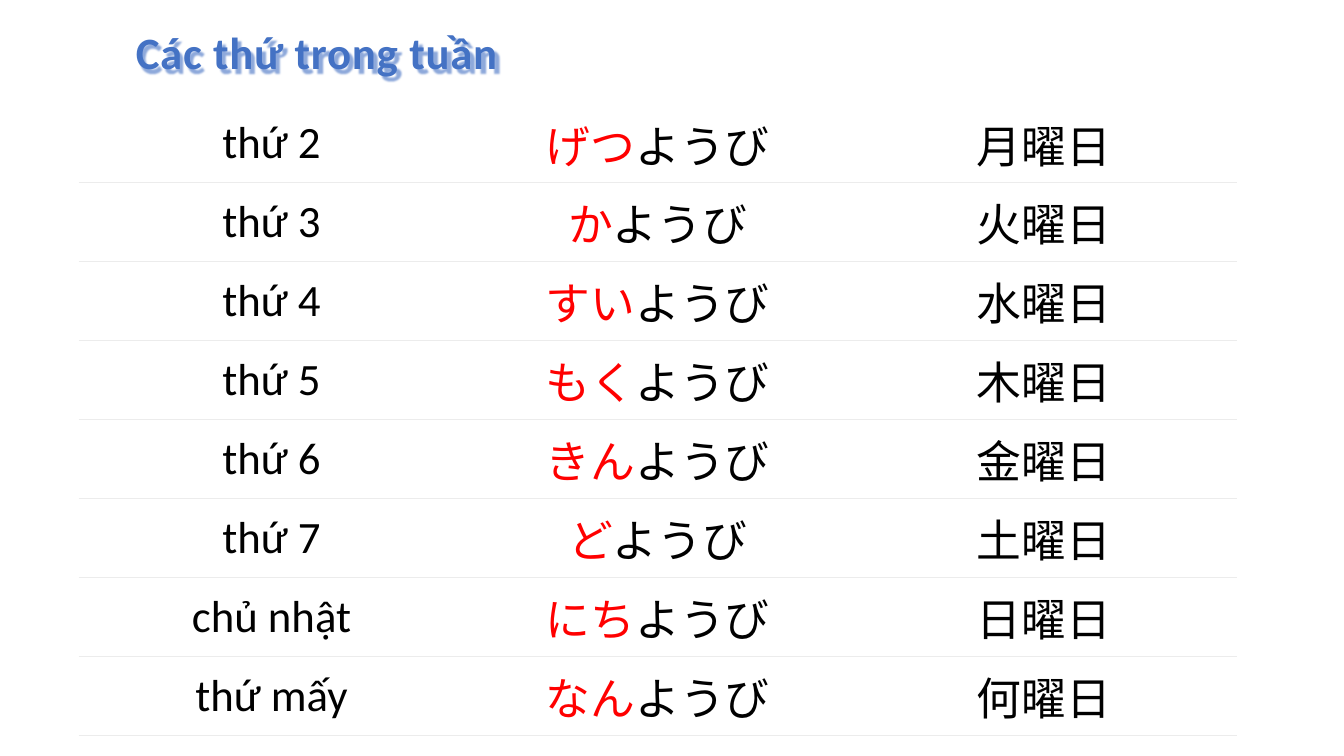
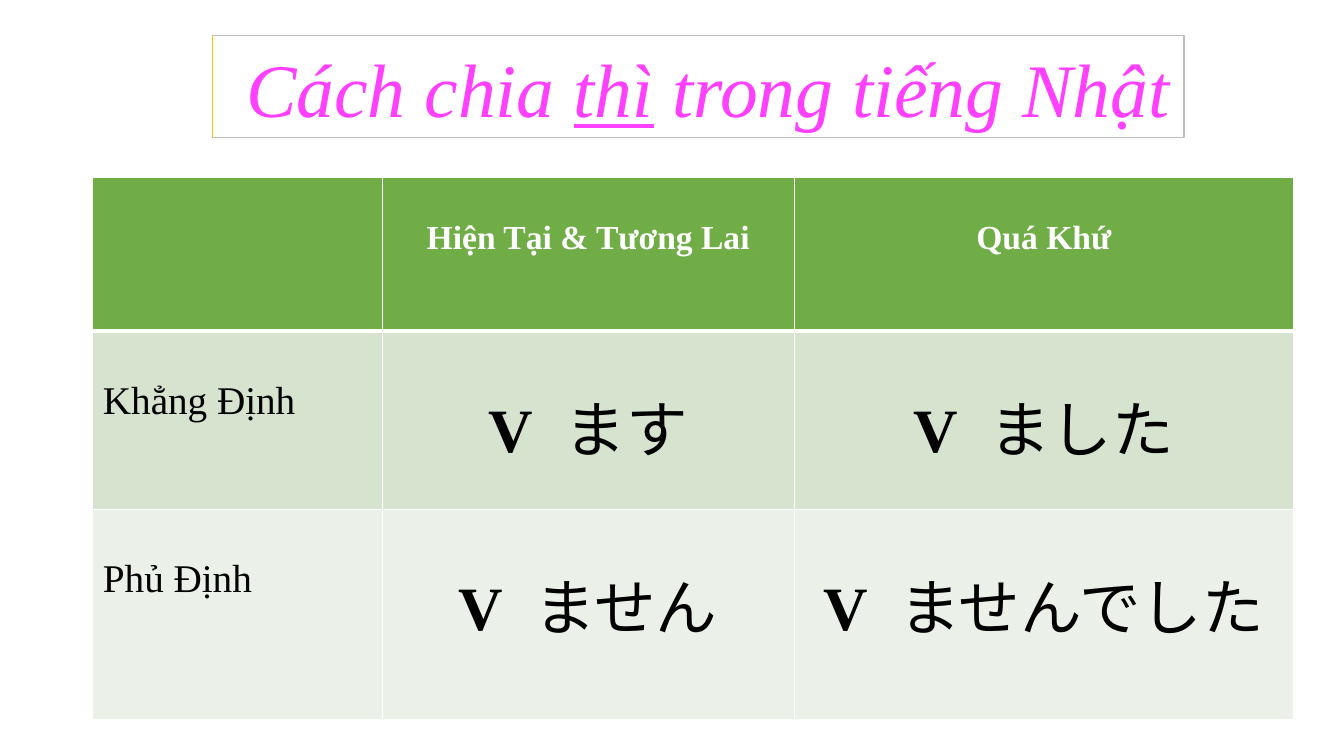
from lxml import etree
from pptx import Presentation
from pptx.dml.color import RGBColor
from pptx.enum.shapes import MSO_CONNECTOR, MSO_SHAPE
from pptx.enum.text import MSO_ANCHOR, PP_ALIGN
from pptx.oxml.ns import qn
from pptx.util import Cm, Pt

BLUE, RED, BLACK, WHITE = "4472C4", "FF0000", "000000", "FFFFFF"
PINK, GOLD, GREY, RULE = "FF40FF", "FFC000", "BFBFBF", "ECECEC"
GREEN, GREEN_MID, GREEN_PALE = "70AD47", "D5E3CF", "EBF1E9"
SHADOW = "8FAADC"
SANS, SERIF, KANA = "Calibri", "Times New Roman", "Noto Sans CJK JP"

WEEKDAYS = [
    ("thứ 2", "げつ", "月"),
    ("thứ 3", "か", "火"),
    ("thứ 4", "すい", "水"),
    ("thứ 5", "もく", "木"),
    ("thứ 6", "きん", "金"),
    ("thứ 7", "ど", "土"),
    ("chủ nhật", "にち", "日"),
    ("thứ mấy", "なん", "何"),
]
TENSES = [
    ("Khẳng Định", "ます", "ました", GREEN_MID),
    ("Phủ Định", "ません", "ませんでした", GREEN_PALE),
]


def rgb(color):
    return RGBColor.from_string(color)


class Deck:
    """Holds the presentation, its text style and the current slide."""

    def __init__(self):
        self.prs = Presentation()
        self.prs.slide_width, self.prs.slide_height = Cm(33.87), Cm(19.05)
        self.s = None

    def slide(self):
        self.s = self.prs.slides.add_slide(self.prs.slide_layouts[6])

    def text(self, tf, runs, font, size, color, align=PP_ALIGN.CENTER,
             bold=False, italic=False, spacing=None):
        p = tf.paragraphs[0]
        p.alignment = align
        if spacing:
            p.line_spacing = spacing
        p.font.size, p.font.bold, p.font.italic = Pt(size), bold, italic
        p.font.color.rgb = rgb(color)
        p.font.name = font
        props = p._p.pPr.find(qn("a:defRPr"))
        etree.SubElement(props, qn("a:ea"), typeface=KANA)
        for words, style in runs:
            r = p.add_run()
            r.text = words
            if "color" in style:
                r.font.color.rgb = rgb(style["color"])
            if "bold" in style:
                r.font.bold = style["bold"]
            if "underline" in style:
                r.font.underline = style["underline"]
            if "gap" in style:
                r._r.get_or_add_rPr().set("spc", str(style["gap"] * 100))

    def shadow_title(self, x, y, w, h, words):
        sp = self.s.shapes.add_textbox(Cm(x), Cm(y), Cm(w), Cm(h))
        sp.text_frame.word_wrap = False
        self.text(sp.text_frame, [(words, {"gap": 0.5})], SANS, 32, BLUE, bold=True)
        effects = etree.SubElement(sp._element.spPr, qn("a:effectLst"))
        shadow = etree.SubElement(effects, qn("a:outerShdw"), blurRad="12700",
                                  dist="38100", dir="2700000", algn="tl")
        etree.SubElement(shadow, qn("a:srgbClr"), val=SHADOW)

    def boxed_title(self, x, y, w, h, runs):
        sp = self.s.shapes.add_shape(MSO_SHAPE.RECTANGLE, Cm(x), Cm(y), Cm(w), Cm(h))
        sp.shadow.inherit = False
        sp.fill.solid()
        sp.fill.fore_color.rgb = rgb(WHITE)
        sp.line.color.rgb = rgb(GREY)
        sp.line.width = Pt(0.75)
        tf = sp.text_frame
        tf.word_wrap = False
        tf.vertical_anchor = MSO_ANCHOR.BOTTOM
        tf.margin_left = Cm(0.74)
        self.text(tf, runs, SERIF, 54, PINK, italic=True)

    def line(self, x1, y1, x2, y2, color, width):
        sp = self.s.shapes.add_connector(MSO_CONNECTOR.STRAIGHT,
                                         Cm(x1), Cm(y1), Cm(x2), Cm(y2))
        sp.line.color.rgb = rgb(color)
        sp.line.width = Pt(width)
        etree.SubElement(sp._element.spPr, qn("a:effectLst"))

    def table(self, x, y, cols, rows):
        frame = self.s.shapes.add_table(len(rows), len(cols), Cm(x), Cm(y),
                                        Cm(sum(cols)), Cm(sum(rows)))
        table = frame.table
        table.first_row = table.horz_banding = False
        for column, width in zip(table.columns, cols):
            column.width = Cm(width)
        for row, height in zip(table.rows, rows):
            row.height = Cm(height)
        return table

    def cell(self, cell, borders, fill=None):
        tc_pr = cell._tc.get_or_add_tcPr()
        for side in "LRTB":
            color, width = borders.get(side, (None, 0))
            ln = etree.SubElement(tc_pr, qn(f"a:ln{side}"), w=str(Pt(width)))
            if color:
                solid = etree.SubElement(ln, qn("a:solidFill"))
                etree.SubElement(solid, qn("a:srgbClr"), val=color)
            else:
                etree.SubElement(ln, qn("a:noFill"))
        if fill:
            cell.fill.solid()
            cell.fill.fore_color.rgb = rgb(fill)
        else:
            cell.fill.background()


def weekdays(deck):
    deck.slide()
    table = deck.table(1.98, 2.62, [9.73] * 3, [1.99] * len(WEEKDAYS))
    rule = (RULE, 0.75)
    for i, (day, reading, kanji) in enumerate(WEEKDAYS):
        borders = {"T": rule, "B": rule} if i else {"B": rule}
        columns = [
            (SANS, [(day, {})]),
            (KANA, [(reading, {"color": RED}), ("ようび", {})]),
            (KANA, [(kanji + "曜日", {})]),
        ]
        for j, (font, runs) in enumerate(columns):
            cell = table.cell(i, j)
            deck.cell(cell, borders)
            cell.margin_left = cell.margin_right = 0
            cell.margin_top = cell.margin_bottom = 0
            cell.vertical_anchor = MSO_ANCHOR.MIDDLE
            deck.text(cell.text_frame, runs, font, 32, BLACK)
    deck.shadow_title(2.92, 0.51, 10.13, 1.63, "Các thứ trong tuần")


def tenses(deck):
    deck.slide()
    table = deck.table(2.34, 4.46, [7.29, 10.39, 12.57], [3.88, 4.5, 5.3])
    thin, thick = (WHITE, 1), (WHITE, 3)
    grid = dict.fromkeys("LRTB", thin)
    for j, head in enumerate(["", "Hiện Tại & Tương Lai", "Quá Khứ"]):
        cell = table.cell(0, j)
        deck.cell(cell, {**grid, "B": thick}, GREEN)
        if head:
            deck.text(cell.text_frame, [(head, {})], SERIF, 24, WHITE,
                      bold=True, spacing=2.0)
    for i, (label, present, past, fill) in enumerate(TENSES, 1):
        borders = {**grid, "T": thick} if i == 1 else grid
        for j in range(3):
            deck.cell(table.cell(i, j), borders, fill)
        deck.text(table.cell(i, 0).text_frame, [(label, {})], SERIF, 28, BLACK,
                  align=PP_ALIGN.LEFT, spacing=2.0)
        for j, ending in enumerate([present, past], 1):
            runs = [("V ", {"bold": True, "gap": 6}), (ending, {})]
            deck.text(table.cell(i, j).text_frame, runs, SERIF, 44, BLACK, spacing=1.5)
    x, y, w, h = 5.35, 0.9, 24.49, 2.57
    deck.boxed_title(x, y, w, h, [
        ("Cách chia ", {}),
        ("thì", {"underline": True}),
        (" trong tiếng Nhật", {}),
    ])
    deck.line(x, y, x, y + h, GOLD, 1)


def main():
    deck = Deck()
    weekdays(deck)
    tenses(deck)
    deck.prs.save("out.pptx")


if __name__ == "__main__":
    main()
